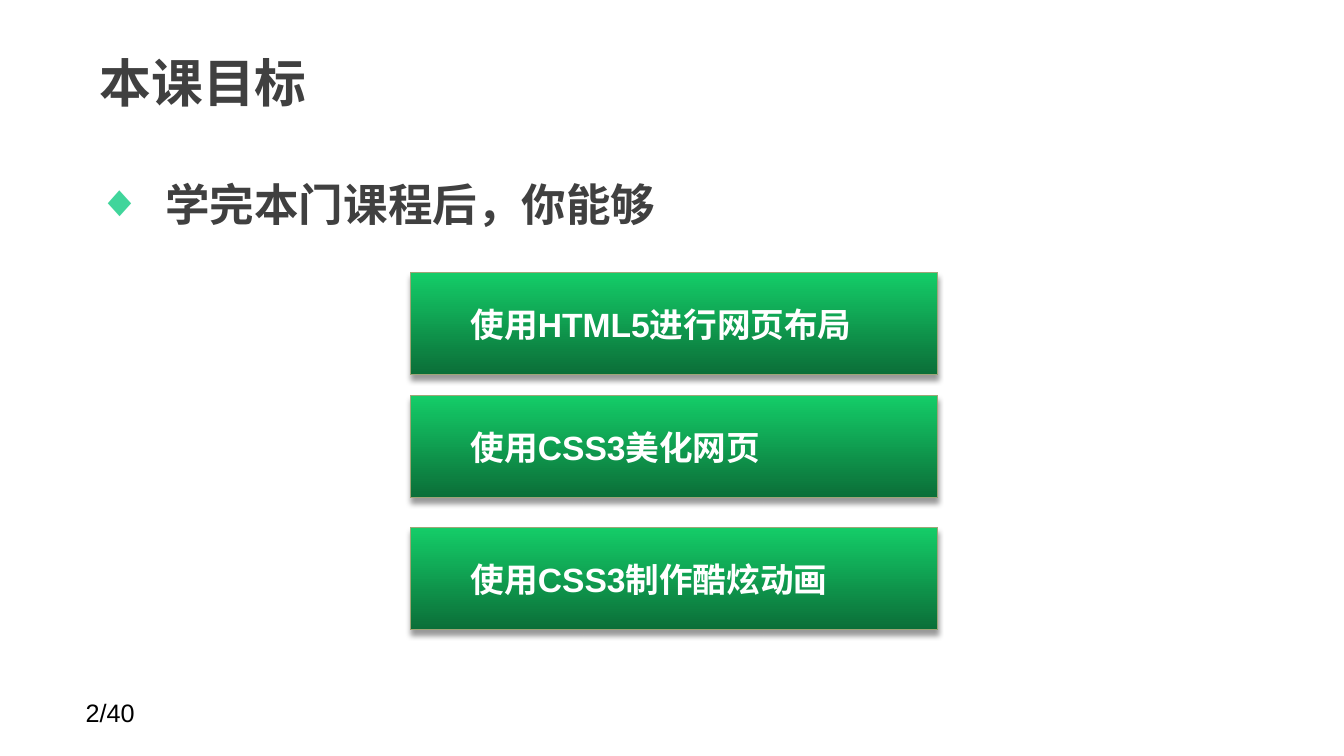
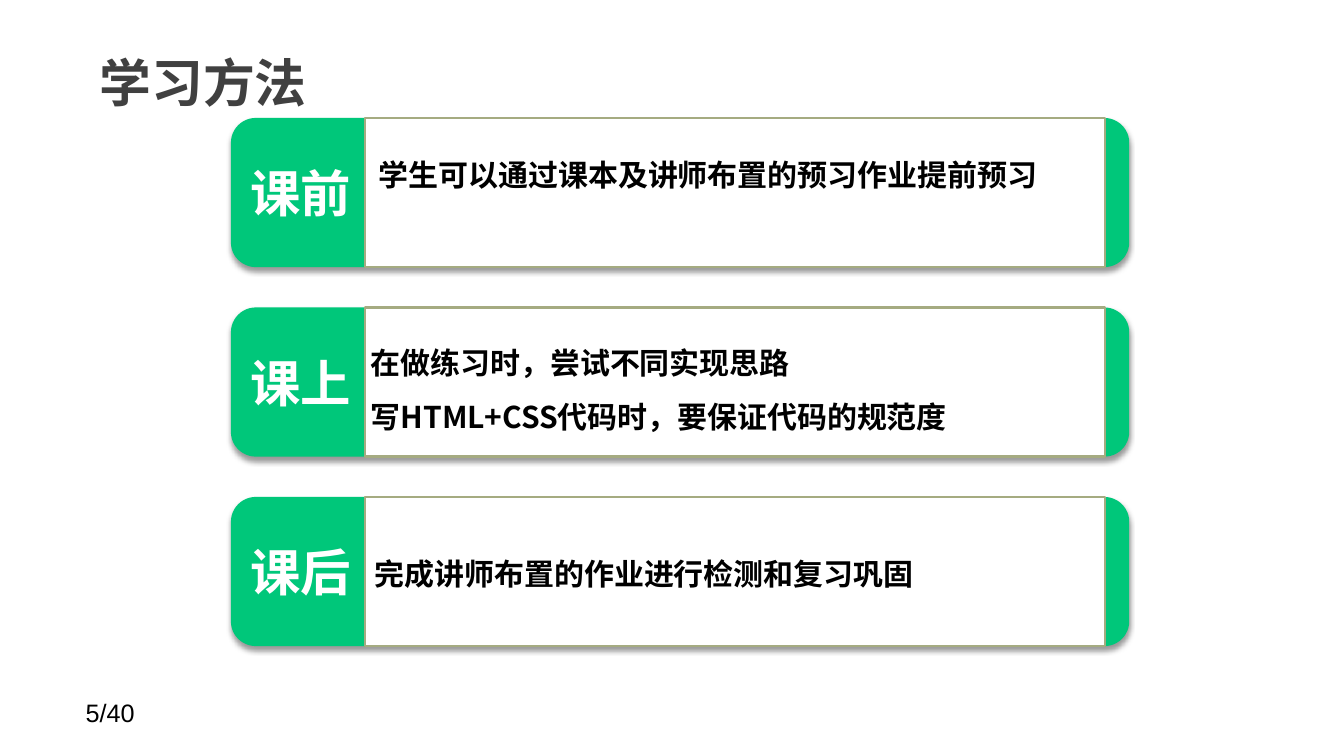
from lxml import etree
from pptx import Presentation, util as u
from pptx.dml.color import RGBColor
from pptx.enum import shapes, text
from pptx.oxml.ns import qn

CJK, LATIN = "Noto Sans CJK SC", "Arial"
DARK, WHITE, BLACK, GREEN, DIAMOND = "404040", "FFFFFF", "000000", "00C77A", "40D59B"
CARD_GRADIENT, CARD_LINE, PANEL_LINE = ("14CD68", "0B6E38"), "9FA578", "A5AB81"

GOALS = {
    "title": "本课目标",
    "page": "2/40",
    "lead": "学完本门课程后，你能够",
    "cards": [
        (2.7, "使用HTML5进行网页布局"),
        (3.92, "使用CSS3美化网页"),
        (5.23, "使用CSS3制作酷炫动画"),
    ],
}
METHODS = {
    "title": "学习方法",
    "page": "5/40",
    "stages": [
        ("课前", (0.04, 0.16), ["学生可以通过课本及讲师布置的预习作业提前预习"]),
        ("课上", (-0.04, 0.14), ["在做练习时，尝试不同实现思路", "写HTML+CSS代码时，要保证代码的规范度"]),
        ("课后", (0, 0.35), ["完成讲师布置的作业进行检测和复习巩固"]),
    ],
}
CARD_LEFT, CARD_WIDTH, CARD_HEIGHT = 4.07, 5.23, 1.02
STAGE_LEFT, STAGE_TOP, STAGE_WIDTH, STAGE_HEIGHT, STAGE_PITCH = 2.29, 1.17, 8.91, 1.48, 1.88
PANEL_LEFT, PANEL_WIDTH = 3.62, 7.34


def rgb(value):
    """Turn a hex string into a colour."""
    return RGBColor.from_string(value)


def inches(*values):
    """Turn numbers into inch lengths."""
    return [u.Inches(value) for value in values]


def write(shape, lines, size, color, font=CJK, bold=True, align=text.PP_ALIGN.LEFT, anchor=text.MSO_ANCHOR.TOP,
          spacing=1, wrap=True, margins=(0.1, 0.05), indent=(0, 0), bullet=None):
    """Fill a shape with formatted paragraphs."""
    frame = shape.text_frame
    frame.auto_size, frame.word_wrap, frame.vertical_anchor = text.MSO_AUTO_SIZE.NONE, wrap, anchor
    frame.margin_left = frame.margin_right = u.Inches(margins[0])
    frame.margin_top = frame.margin_bottom = u.Inches(margins[1])
    for index, line in enumerate(lines):
        paragraph = frame.add_paragraph() if index else frame.paragraphs[0]
        paragraph.alignment, paragraph.line_spacing = align, spacing
        properties = paragraph._p.get_or_add_pPr()
        for name, value in zip(("marL", "indent"), inches(*indent)):
            properties.set(name, str(value))
        if bullet:
            character, color_value = bullet
            bullet_color = etree.SubElement(properties, qn("a:buClr"))
            etree.SubElement(bullet_color, qn("a:srgbClr"), val=color_value)
            etree.SubElement(properties, qn("a:buFont"), typeface=LATIN)
            etree.SubElement(properties, qn("a:buChar"), char=character)
        run = paragraph.add_run()
        run.text = line
        run.font.size, run.font.bold, run.font.name = u.Pt(size), bold, font
        run.font.color.rgb = rgb(color)
        latin = run._r.rPr.find(qn("a:latin"))
        latin.addnext(etree.Element(qn("a:ea"), typeface=CJK))


def add_text(slide, box, lines, size, color, **options):
    """Add a text box."""
    write(slide.shapes.add_textbox(*inches(*box)), lines, size, color, **options)


def add_box(slide, kind, box, fill, line=None, width=0, shadow=False):
    """Add a shape with a plain or gradient fill."""
    shape = slide.shapes.add_shape(kind, *inches(*box))
    if isinstance(fill, tuple):
        shape.fill.gradient()
        shape.fill.gradient_angle = 270
        for stop, color in zip(shape.fill.gradient_stops, fill):
            stop.color.rgb = rgb(color)
    else:
        shape.fill.solid()
        shape.fill.fore_color.rgb = rgb(fill)
    if line:
        shape.line.color.rgb, shape.line.width = rgb(line), u.Pt(width)
    else:
        shape.line.fill.background()
    shape.shadow.inherit = False
    if shadow:
        effects = shape._element.spPr.find(qn("a:effectLst"))
        outer = etree.SubElement(effects, qn("a:outerShdw"), blurRad=str(u.Pt(4)), dist=str(u.Pt(3)),
                                 dir="5400000", rotWithShape="0")
        color = etree.SubElement(outer, qn("a:srgbClr"), val=BLACK)
        etree.SubElement(color, qn("a:alpha"), val="40000")
    return shape


def add_slide(presentation, content):
    """Add a slide with its title and page number."""
    slide = presentation.slides.add_slide(presentation.slide_layouts[5])
    title = slide.shapes.title
    title.left, title.top, title.width, title.height = inches(0.86, 0.3, 10.41, 1.03)
    write(title, [content["title"]], 37, DARK, anchor=text.MSO_ANCHOR.MIDDLE, margins=(0.13, 0.06))
    add_text(slide, (0.75, 6.87, 2.33, 0.4), [content["page"]], 18, BLACK, font=LATIN, bold=False)
    return slide


def build_goals(presentation):
    """Build the slide of course goals."""
    slide = add_slide(presentation, GOALS)
    add_text(slide, (0.84, 1.43, 11.69, 1.1), [GOALS["lead"]], 31.8, DARK, spacing=1.5,
             margins=(0.13, 0.06), indent=(0.67, -0.67), bullet=("◆", DIAMOND))
    for top, label in GOALS["cards"]:
        card = add_box(slide, shapes.MSO_SHAPE.RECTANGLE, (CARD_LEFT, top, CARD_WIDTH, CARD_HEIGHT),
                       CARD_GRADIENT, CARD_LINE, 0.75, shadow=True)
        write(card, [label], 24, WHITE, font=LATIN, anchor=text.MSO_ANCHOR.MIDDLE, indent=(0.81, -0.31))


def build_methods(presentation):
    """Build the slide of study methods."""
    slide = add_slide(presentation, METHODS)
    for row, (label, (shift, drop), lines) in enumerate(METHODS["stages"]):
        top = STAGE_TOP + row * STAGE_PITCH
        add_box(slide, shapes.MSO_SHAPE.ROUNDED_RECTANGLE, (STAGE_LEFT, top, STAGE_WIDTH, STAGE_HEIGHT),
                GREEN, shadow=True)
        add_box(slide, shapes.MSO_SHAPE.RECTANGLE, (PANEL_LEFT, top, PANEL_WIDTH, STAGE_HEIGHT),
                WHITE, PANEL_LINE, 2)
        add_text(slide, (2.38, top + 0.39, 1.2, 0.71), [label], 36, WHITE,
                 align=text.PP_ALIGN.CENTER, wrap=False)
        add_text(slide, (PANEL_LEFT + shift, top + drop, PANEL_WIDTH, 0.58 * len(lines)), lines, 21.4, BLACK,
                 spacing=1.5)


def main():
    """Build and save the presentation."""
    presentation = Presentation()
    presentation.slide_width, presentation.slide_height = inches(13.33, 7.5)
    build_goals(presentation)
    build_methods(presentation)
    presentation.save("out.pptx")


if __name__ == "__main__":
    main()
